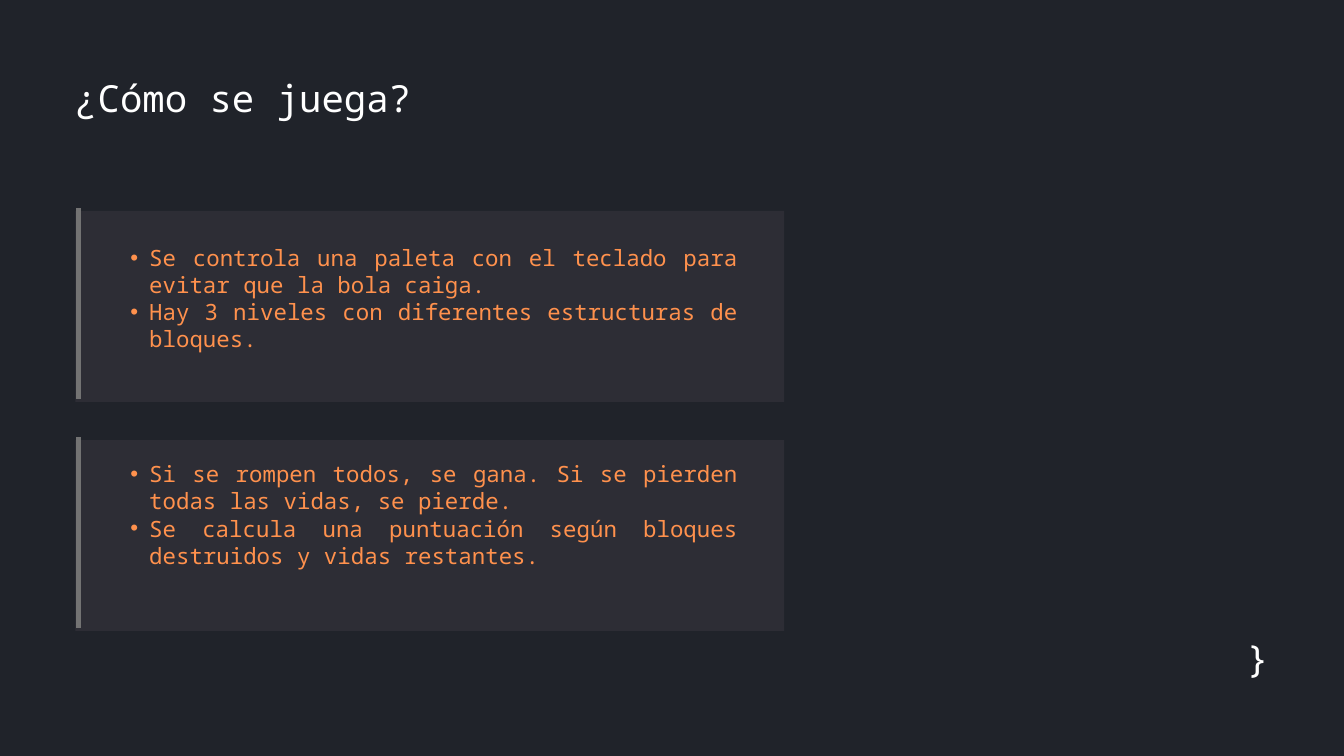
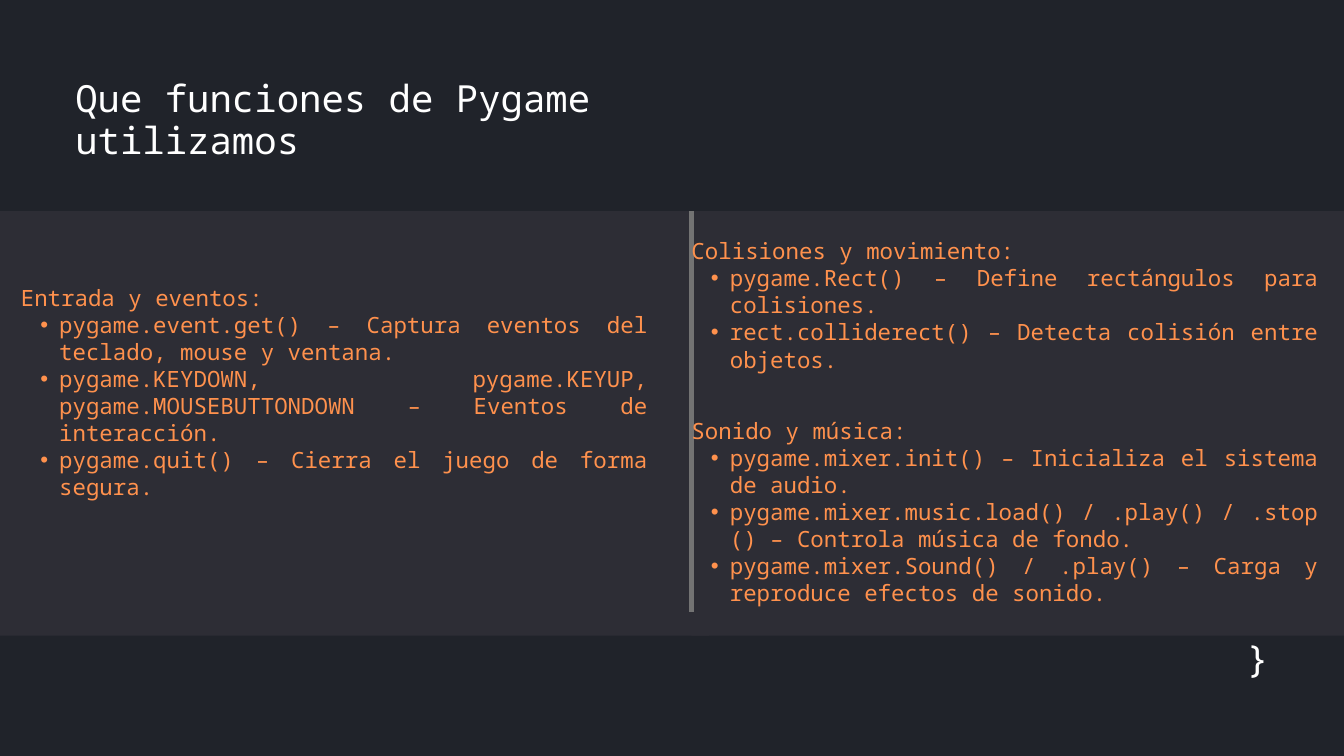
import pptx
import pptx.util
import pptx.dml.color
import pptx.enum.shapes
import pptx.enum.text
from lxml import etree
from pptx.util import Inches, Pt

FONT = "Noto Sans Mono"
COLORS = {
    "background": "20232A",
    "panel": "2D2D35",
    "rule": "737373",
    "title": "FFFFFF",
    "body": "FF914D",
}
ALIGN = pptx.enum.text.PP_ALIGN
COMPARISON_LAYOUT = 4
PANEL_WIDTH = 10.55
LIST_WIDTH = 9.32


def rgb(name):
    return pptx.dml.color.RGBColor.from_string(COLORS[name])


def place(shape, left, top, width, height):
    shape.left, shape.top = Inches(left), Inches(top)
    shape.width, shape.height = Inches(width), Inches(height)


def prepare_frame(frame):
    """Remove margins and fitting, and start the text at the top."""
    frame.margin_left = frame.margin_right = 0
    frame.margin_top = frame.margin_bottom = 0
    frame.word_wrap = True
    frame.auto_size = pptx.enum.text.MSO_AUTO_SIZE.NONE
    frame.vertical_anchor = pptx.enum.text.MSO_ANCHOR.TOP


def format_paragraph(paragraph, color, size, spacing, align):
    paragraph.alignment = align
    paragraph.line_spacing = Pt(spacing)
    paragraph.space_before = Pt(0)
    for run in paragraph.runs:
        run.font.name = FONT
        run.font.size = Pt(size)
        run.font.bold = False
        run.font.color.rgb = rgb(color)


def set_bullet(paragraph, bulleted):
    properties = paragraph._p.get_or_add_pPr()
    properties.set("marL", str(Inches(0.57) if bulleted else 0))
    properties.set("indent", str(Inches(-0.28) if bulleted else 0))
    tag = "buChar" if bulleted else "buNone"
    bullet = etree.SubElement(properties, pptx.oxml.ns.qn(f"a:{tag}"))
    if bulleted:
        bullet.set("char", "•")


def add_panel(slide, left, top, height):
    panel = slide.shapes.add_shape(
        pptx.enum.shapes.MSO_SHAPE.RECTANGLE,
        Inches(left), Inches(top), Inches(PANEL_WIDTH), Inches(height))
    panel.shadow.inherit = False
    panel.fill.solid()
    panel.fill.fore_color.rgb = rgb("panel")
    panel.line.fill.background()


def add_rule(slide, x, top, height):
    rule = slide.shapes.add_connector(
        pptx.enum.shapes.MSO_CONNECTOR.STRAIGHT,
        Inches(x), Inches(top), Inches(x), Inches(top + height))
    rule.line.color.rgb = rgb("rule")
    rule.line.width = Pt(6)
    etree.SubElement(rule._element.spPr, pptx.oxml.ns.qn("a:effectLst"))


def fill_title(slide, text, height):
    title = slide.shapes.title
    place(title, 1.12, 1.15, 7.69, height)
    prepare_frame(title.text_frame)
    title.text_frame.text = text
    format_paragraph(title.text_frame.paragraphs[0], "title", 40, 45.6, ALIGN.LEFT)


def add_closing_brace(slide):
    brace = slide.shapes.add_textbox(
        Inches(18.11), Inches(9.49), Inches(0.77), Inches(0.64))
    prepare_frame(brace.text_frame)
    brace.text_frame.text = "}"
    format_paragraph(brace.text_frame.paragraphs[0], "title", 40, 45.6, ALIGN.RIGHT)


def fill_list(body, left, top, height, items, heading=None):
    place(body, left, top, LIST_WIDTH, height)
    frame = body.text_frame
    prepare_frame(frame)
    lines = [heading, *items] if heading else items
    frame.text = "\n".join(lines)
    for paragraph in frame.paragraphs:
        bulleted = paragraph.text != heading
        paragraph.level = int(bulleted)
        set_bullet(paragraph, bulleted)
        format_paragraph(paragraph, "body", 24, 29, ALIGN.JUSTIFY)


def fill_lists(slide, lists):
    """Put each list in a body placeholder above the panels; drop the rest."""
    bodies = [p for p in slide.placeholders if p.placeholder_format.idx > 0]
    for body, content in zip(bodies, lists):
        fill_list(body, *content)
        body.element.getparent().append(body.element)
    for body in bodies[len(lists):]:
        body.element.getparent().remove(body.element)


def add_slide(prs, title, title_height):
    slide = prs.slides.add_slide(prs.slide_layouts[COMPARISON_LAYOUT])
    fill_title(slide, title, title_height)
    return slide


def build_how_to_play(prs):
    slide = add_slide(prs, "¿Cómo se juega?", 0.64)
    panel_height = 2.84
    for top in (3.14, 6.55):
        add_panel(slide, 1.12, top, panel_height)
        add_rule(slide, 1.17, top - 0.04, panel_height)
    fill_lists(slide, [
        (1.65, 3.63, 2, [
            "Se controla una paleta con el teclado para evitar que la bola caiga.",
            "Hay 3 niveles con diferentes estructuras de bloques."]),
        (1.65, 6.85, 2, [
            "Si se rompen todos, se gana. Si se pierden todas las vidas, se pierde.",
            "Se calcula una puntuación según bloques destruidos y vidas restantes."]),
    ])
    add_closing_brace(slide)


def build_pygame_functions(prs):
    slide = add_slide(prs, "Que funciones de Pygame utilizamos", 1.26)
    top, middle = 3.14, 10.29
    for left in (0, middle):
        add_panel(slide, left, top, 6.32)
    add_rule(slide, middle, top, 5.97)
    fill_lists(slide, [
        (0.31, 4.22, 3.98, [
            "pygame.event.get() – Captura eventos del teclado, mouse y ventana.",
            "pygame.KEYDOWN, pygame.KEYUP, pygame.MOUSEBUTTONDOWN – Eventos de interacción.",
            "pygame.quit() – Cierra el juego de forma segura."],
         "Entrada y eventos:"),
        (middle, 3.53, 2.39, [
            "pygame.Rect() – Define rectángulos para colisiones.",
            "rect.colliderect() – Detecta colisión entre objetos."],
         "Colisiones y movimiento:"),
        (middle, 6.2, 3.18, [
            "pygame.mixer.init() – Inicializa el sistema de audio.",
            "pygame.mixer.music.load() / .play() / .stop() – Controla música de fondo.",
            "pygame.mixer.Sound() / .play() – Carga y reproduce efectos de sonido."],
         "Sonido y música:"),
    ])
    add_closing_brace(slide)


def main():
    prs = pptx.Presentation()
    prs.slide_width, prs.slide_height = Inches(20), Inches(11.25)
    background = prs.slide_master.background.fill
    background.solid()
    background.fore_color.rgb = rgb("background")
    build_how_to_play(prs)
    build_pygame_functions(prs)
    prs.save("out.pptx")


if __name__ == "__main__":
    main()
